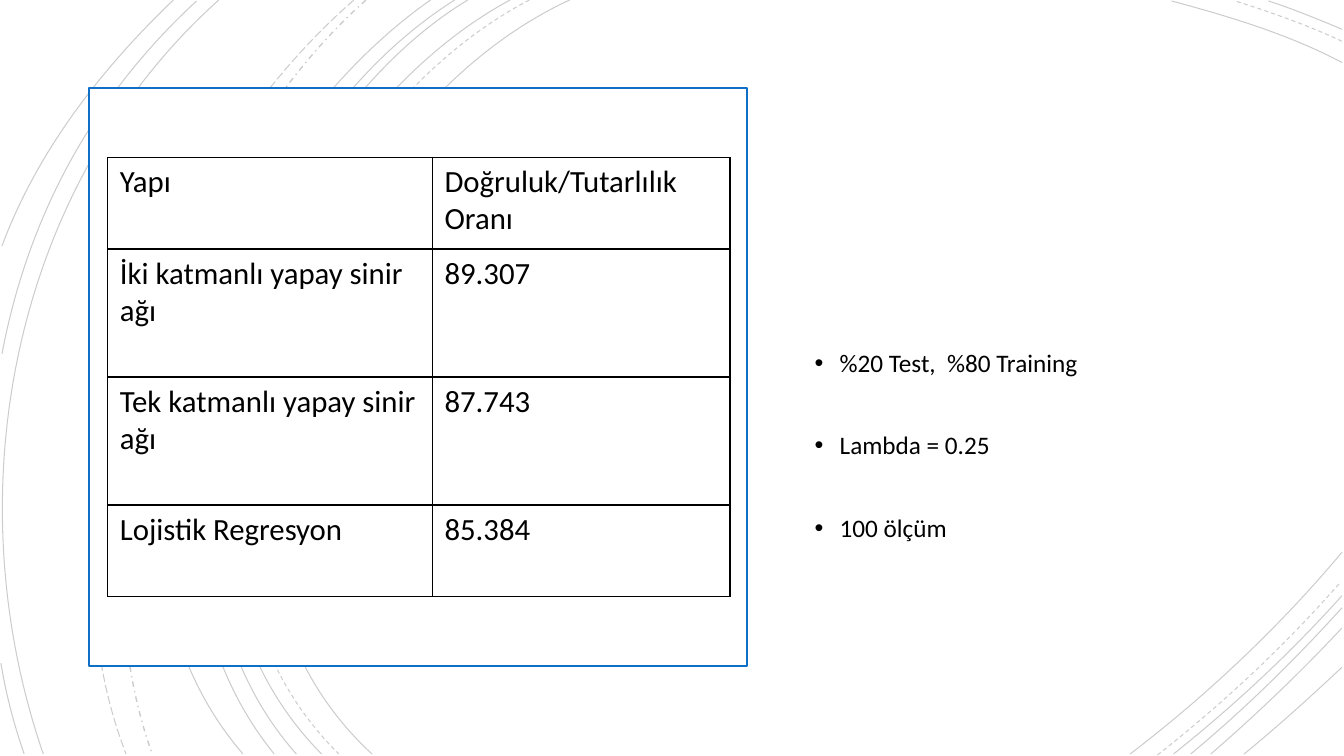
from dataclasses import dataclass

from lxml.etree import SubElement
from pptx import Presentation
from pptx.dml.color import RGBColor
from pptx.enum.dml import MSO_LINE_DASH_STYLE as Dash
from pptx.enum.shapes import MSO_SHAPE as Preset
from pptx.enum.text import MSO_ANCHOR as Anchor
from pptx.oxml.ns import qn
from pptx.shapes.shapetree import GroupShapes, SlideShapes
from pptx.table import _Cell as Cell
from pptx.text.text import _Paragraph as Paragraph
from pptx.util import Inches, Pt

FONT = "Calibri"
BLACK, WHITE, BLUE = "000000", "FFFFFF", "0F6FC6"
Point = tuple[float, float]


@dataclass
class Arc:
    start: Point
    first_control: Point
    second_control: Point
    end: Point
    dash: Dash = Dash.SOLID
    width: float = 0.75


@dataclass
class ResultRow:
    structure: str
    accuracy: str
    height: float


ARCS = [
    Arc((5.65, 0), (3.15, 1.15), (1.43, 5.4), (3.69, 7.48)),
    Arc((13.31, 0.62), (12.78, 0.34), (12.18, 0.16), (11.62, 0.01)),
    Arc((11.21, 7.48), (11.97, 6.9), (12.69, 6.22), (13.31, 5.48)),
    Arc((5.25, 0), (2.85, 1.25), (1.23, 5.37), (3.36, 7.48), Dash.DASH),
    Arc((13.31, 0.41), (12.97, 0.25), (12.6, 0.12), (12.25, 0.01), Dash.DASH),
    Arc((11.48, 7.49), (12.13, 6.98), (12.75, 6.4), (13.3, 5.77), Dash.DASH),
    Arc((5.06, 0), (2.7, 1.27), (1.1, 5.37), (3.19, 7.48)),
    Arc((13.31, 0.29), (13.07, 0.19), (12.83, 0.09), (12.58, 0.01)),
    Arc((11.64, 7.48), (12.23, 7.01), (12.8, 6.48), (13.31, 5.91)),
    Arc((4.64, 0), (2.44, 1.33), (1.1, 5.41), (2.94, 7.48)),
    Arc((11.81, 7.48), (12.34, 7.04), (12.84, 6.55), (13.31, 6.03)),
    Arc((4.51, 0), (2.31, 1.38), (0.97, 5.33), (2.72, 7.48)),
    Arc((12.01, 7.48), (12.46, 7.09), (12.9, 6.67), (13.31, 6.23)),
    Arc((4.27, 0), (2.17, 1.47), (0.53, 5.29), (2.41, 7.48)),
    Arc((12.34, 7.48), (12.67, 7.21), (12.99, 6.92), (13.31, 6.62)),
    Arc((3.63, 0), (1.76, 1.66), (0.65, 5.09), (1.51, 7.48), Dash.DASH_DOT, 1),
    Arc((3.51, 0), (1.57, 1.69), (0.29, 4.99), (1.25, 7.48), Dash.LONG_DASH),
    Arc((2.17, 0), (0.11, 1.85), (-0.46, 4.9), (0.43, 7.48)),
    Arc((1.95, 0.01), (0.92, 0.96), (0.28, 2.14), (0.02, 3.51)),
    Arc((0.01, 6.58), (0.06, 6.89), (0.14, 7.19), (0.24, 7.48)),
    Arc((1.72, 0), (1, 0.69), (0.37, 1.5), (0.02, 2.44)),
]
RESULTS = [
    ResultRow("Yapı", "Doğruluk/Tutarlılık Oranı", 0.91),
    ResultRow("İki katmanlı yapay sinir ağı", "89.307", 1.27),
    ResultRow("Tek katmanlı yapay sinir ağı", "87.743", 1.27),
    ResultRow("Lojistik Regresyon", "85.384", 0.91),
]
COLUMN_WIDTHS = (3.22, 2.95)
SETTINGS = ("%20 Test,  %80 Training", "Lambda = 0.25", "100 ölçüm")


def color(value: str) -> RGBColor:
    return RGBColor.from_string(value)


def format_runs(paragraph: Paragraph, size: float) -> None:
    for run in paragraph.runs:
        run.font.name = FONT
        run.font.size = Pt(size)
        run.font.color.rgb = color(BLACK)


def draw_arc(shapes: GroupShapes, arc: Arc) -> None:
    start, *others = [
        (Inches(x), Inches(y))
        for x, y in (arc.start, arc.first_control, arc.second_control, arc.end)
    ]
    builder = shapes.build_freeform(*start)
    builder.add_line_segments(others, close=False)
    shape = builder.convert_to_shape()
    outline = next(shape.element.spPr.iter(qn("a:path")))
    segments = outline.findall(qn("a:lnTo"))
    curve = SubElement(outline, qn("a:cubicBezTo"))
    for segment in segments:
        curve.append(segment[0])
        outline.remove(segment)
    shape.shadow.inherit = False
    shape.fill.background()
    shape.line.color.rgb = color(BLACK)
    shape.line.width = Pt(arc.width)
    shape.line.dash_style = arc.dash
    line_color = next(shape.element.spPr.iter(qn("a:srgbClr")))
    SubElement(line_color, qn("a:alpha"), val="20000")


def draw_panel(shapes: SlideShapes) -> None:
    panel = shapes.add_shape(
        Preset.RECTANGLE, Inches(0.88), Inches(0.87), Inches(6.53), Inches(5.74)
    )
    panel.shadow.inherit = False
    panel.fill.solid()
    panel.fill.fore_color.rgb = color(WHITE)
    panel.line.color.rgb = color(BLUE)
    panel.line.width = Pt(1.5)


def draw_settings(shapes: SlideShapes) -> None:
    box = shapes.add_textbox(Inches(7.98), Inches(2.56), Inches(4.48), Inches(4.02))
    text_frame = box.text_frame
    text_frame.word_wrap = True
    text_frame.vertical_anchor = Anchor.TOP
    text_frame.margin_top = Inches(0.92)
    text_frame.text = "\n".join(SETTINGS)
    for paragraph in text_frame.paragraphs:
        paragraph.line_spacing = 0.9
        paragraph.space_before = Pt(10)
        paragraph.space_after = Pt(29.4)
        format_runs(paragraph, 18)
        properties = paragraph._p.get_or_add_pPr()
        properties.set("marL", str(Inches(0.25)))
        properties.set("indent", str(Inches(-0.25)))
        SubElement(properties, qn("a:buFont"), typeface="Arial")
        SubElement(properties, qn("a:buChar"), char="•")


def fill_cell(cell: Cell, text: str) -> None:
    cell.text_frame.text = text
    cell.margin_left = cell.margin_right = Inches(0.12)
    cell.margin_top = cell.margin_bottom = Inches(0.06)
    for paragraph in cell.text_frame.paragraphs:
        format_runs(paragraph, 22)
    properties = cell._tc.get_or_add_tcPr()
    for side in ("a:lnL", "a:lnR", "a:lnT", "a:lnB"):
        border = SubElement(properties, qn(side), w=str(Pt(1)))
        SubElement(SubElement(border, qn("a:solidFill")), qn("a:srgbClr"), val=BLACK)
    cell.fill.background()


def draw_results(shapes: SlideShapes) -> None:
    height = sum(result.height for result in RESULTS)
    table = shapes.add_table(
        len(RESULTS), len(COLUMN_WIDTHS), Inches(1.07), Inches(1.56),
        Inches(sum(COLUMN_WIDTHS)), Inches(height),
    ).table
    table.first_row = table.horz_banding = False
    for column, width in zip(table.columns, COLUMN_WIDTHS):
        column.width = Inches(width)
    for row, result in zip(table.rows, RESULTS):
        row.height = Inches(result.height)
        for cell, text in zip(row.cells, (result.structure, result.accuracy)):
            fill_cell(cell, text)


presentation = Presentation()
presentation.slide_width = Inches(13.33)
presentation.slide_height = Inches(7.5)
slide = presentation.slides.add_slide(presentation.slide_layouts[6])
background_arcs = slide.shapes.add_group_shape()
for arc in ARCS:
    draw_arc(background_arcs.shapes, arc)
draw_panel(slide.shapes)
draw_settings(slide.shapes)
draw_results(slide.shapes)
presentation.save("out.pptx")
